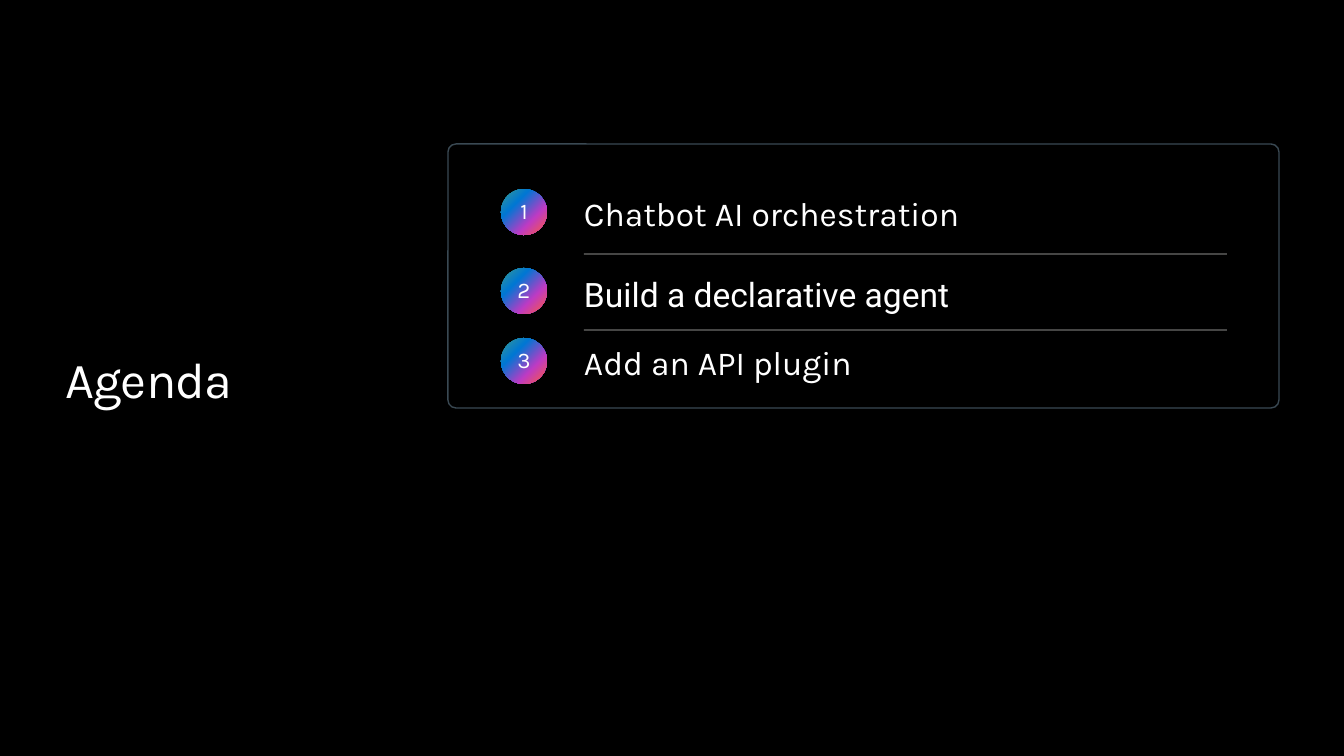
from dataclasses import dataclass

from lxml.etree import SubElement
from pptx import Presentation
from pptx.dml.color import RGBColor
from pptx.enum.shapes import MSO_CONNECTOR as CONN, MSO_SHAPE as SHAPE
from pptx.enum.text import MSO_ANCHOR as ANCHOR, MSO_AUTO_SIZE as AUTO, PP_ALIGN as ALIGN
from pptx.oxml import parse_xml
from pptx.oxml.ns import nsdecls, qn
from pptx.util import Emu, Pt


@dataclass(frozen=True)
class Theme:
    back: str = "000000"
    text: str = "FFFFFF"
    frame: str = "3A4953"
    rule: str = "D9D9D6"
    badge: tuple = ((0, "FF5C39"), (32, "C03BC4"), (68, "0078D4"), (100, "399A91"))
    font: str = "Karla"
    alt_font: str = "Roboto"
    title_size: int = 36
    item_size: int = 24
    badge_size: int = 16


def px(n):
    return Emu(round(n * 914400 / 100.8))


def rgb(code):
    return RGBColor.from_string(code)


class AgendaSlide:
    def __init__(self, prs, theme):
        self.theme = theme
        self.s = prs.slides.add_slide(prs.slide_layouts[5])
        fill = self.s.background.fill
        fill.solid()
        fill.fore_color.rgb = rgb(theme.back)

    def frame_text(self, tf, anchor, bottom=0):
        tf.margin_left = tf.margin_top = tf.margin_right = 0
        tf.margin_bottom = px(bottom)
        tf.word_wrap = True
        tf.auto_size = AUTO.NONE
        tf.vertical_anchor = anchor

    def set_text(self, p, text, size, font=None, align=ALIGN.LEFT):
        p.text = text
        p.alignment = align
        p.font.size = Pt(size)
        p.font.name = font or self.theme.font
        p.font.color.rgb = rgb(self.theme.text)

    def title(self, text, x, y, w, h):
        sp = self.s.shapes.title
        sp.left, sp.top, sp.width, sp.height = map(px, (x, y, w, h))
        self.frame_text(sp.text_frame, ANCHOR.MIDDLE)
        p = sp.text_frame.paragraphs[0]
        self.set_text(p, text, self.theme.title_size)
        p.runs[0].font._element.set("spc", "-50")

    def round_rect(self, x, y, w, h, radius):
        sp = self.s.shapes.add_shape(SHAPE.ROUNDED_RECTANGLE, *map(px, (x, y, w, h)))
        sp.adjustments[0] = radius
        sp.shadow.inherit = False
        sp.fill.background()
        return sp

    def panel(self, x, y, w, h):
        sp = self.round_rect(x, y, w, h, 0.03)
        sp.line.color.rgb = rgb(self.theme.frame)
        sp.line.width = Pt(1)

    def badge(self, number, x, y, size):
        sp = self.round_rect(x, y, size, size, 0.5)
        sp.line.fill.background()
        # Radial gradient spreading from the bottom right corner
        stops = "".join(f'<a:gs pos="{pos * 1000}"><a:srgbClr val="{color}"/></a:gs>'
                        for pos, color in self.theme.badge)
        grad = parse_xml(f'<a:gradFill {nsdecls("a")}><a:gsLst>{stops}</a:gsLst>'
                         '<a:path path="circle"><a:fillToRect l="100000" t="100000"/>'
                         '</a:path></a:gradFill>')
        props = sp._element.spPr
        props.replace(props.find(qn("a:noFill")), grad)
        self.frame_text(sp.text_frame, ANCHOR.MIDDLE, bottom=2)
        self.set_text(sp.text_frame.paragraphs[0], str(number), self.theme.badge_size,
                      align=ALIGN.CENTER)

    def rule(self, x1, x2, y):
        line = self.s.shapes.add_connector(CONN.STRAIGHT, px(x1), px(y), px(x2), px(y))
        line.line.color.rgb = rgb(self.theme.rule)
        line.line.width = Pt(1)
        props = line._element.spPr
        color = props.find(".//" + qn("a:srgbClr"))
        SubElement(color, qn("a:alpha")).set("val", "50000")
        SubElement(props, qn("a:effectLst"))

    def items(self, rows, x, y, w, h):
        tf = self.s.shapes.add_textbox(*map(px, (x, y, w, h))).text_frame
        self.frame_text(tf, ANCHOR.TOP)
        for i, (text, font, before) in enumerate(rows):
            p = tf.add_paragraph() if i else tf.paragraphs[0]
            self.set_text(p, text, self.theme.item_size, font)
            p.space_before = Pt(before)


def main():
    prs = Presentation()
    prs.slide_width, prs.slide_height = px(1344), px(756)
    theme = Theme()
    agenda = AgendaSlide(prs, theme)

    # Title and panel
    agenda.title("Agenda", 65, 348, 455, 61)
    agenda.panel(448, 144, 831, 264)

    # Agenda items: text, font, space before
    agenda.items([
        ("Chatbot AI orchestration", theme.font, 0),
        ("Build a declarative agent", theme.alt_font, 29),
        ("Add an API plugin", theme.font, 20),
    ], 584, 193, 660, 188)

    # Numbers and dividers
    for number, top in enumerate((189, 268, 338), 1):
        agenda.badge(number, 501, top, 46)
    for y in (254, 330):
        agenda.rule(584, 1227, y)

    prs.save("out.pptx")


if __name__ == "__main__":
    main()
